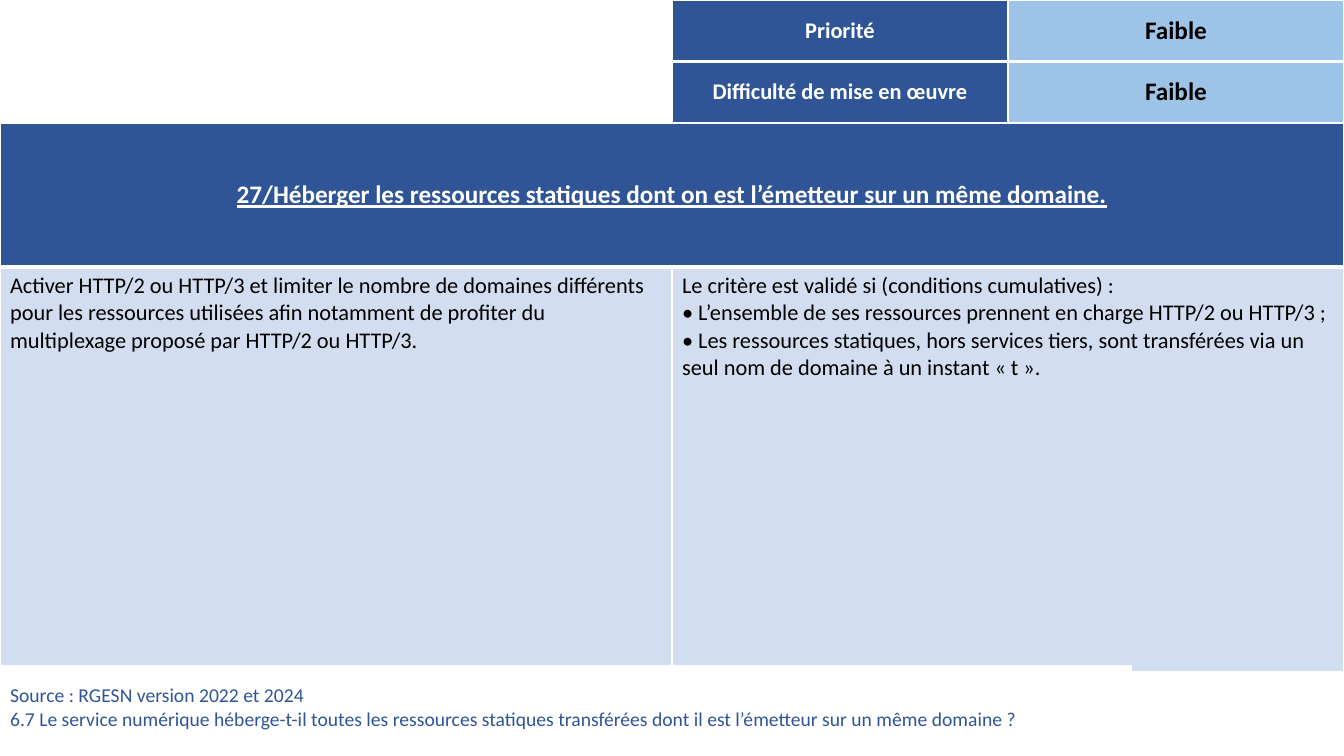
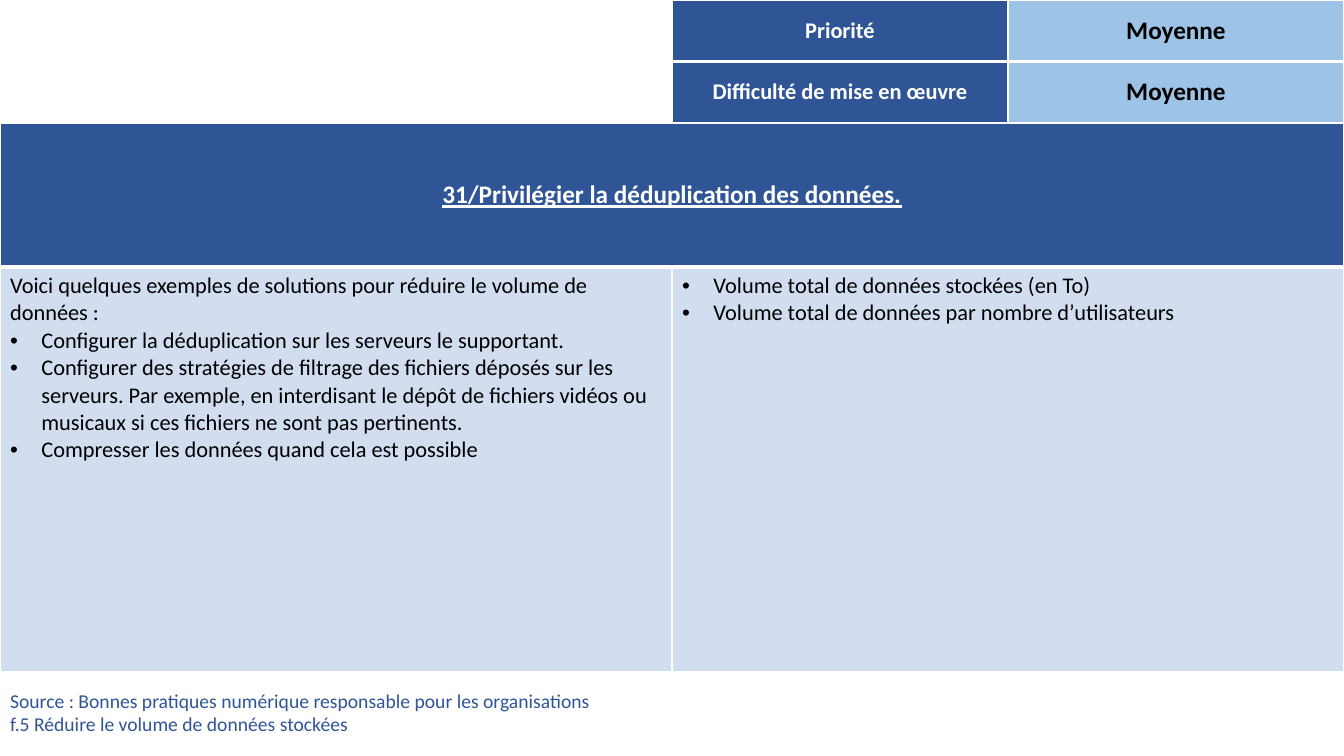
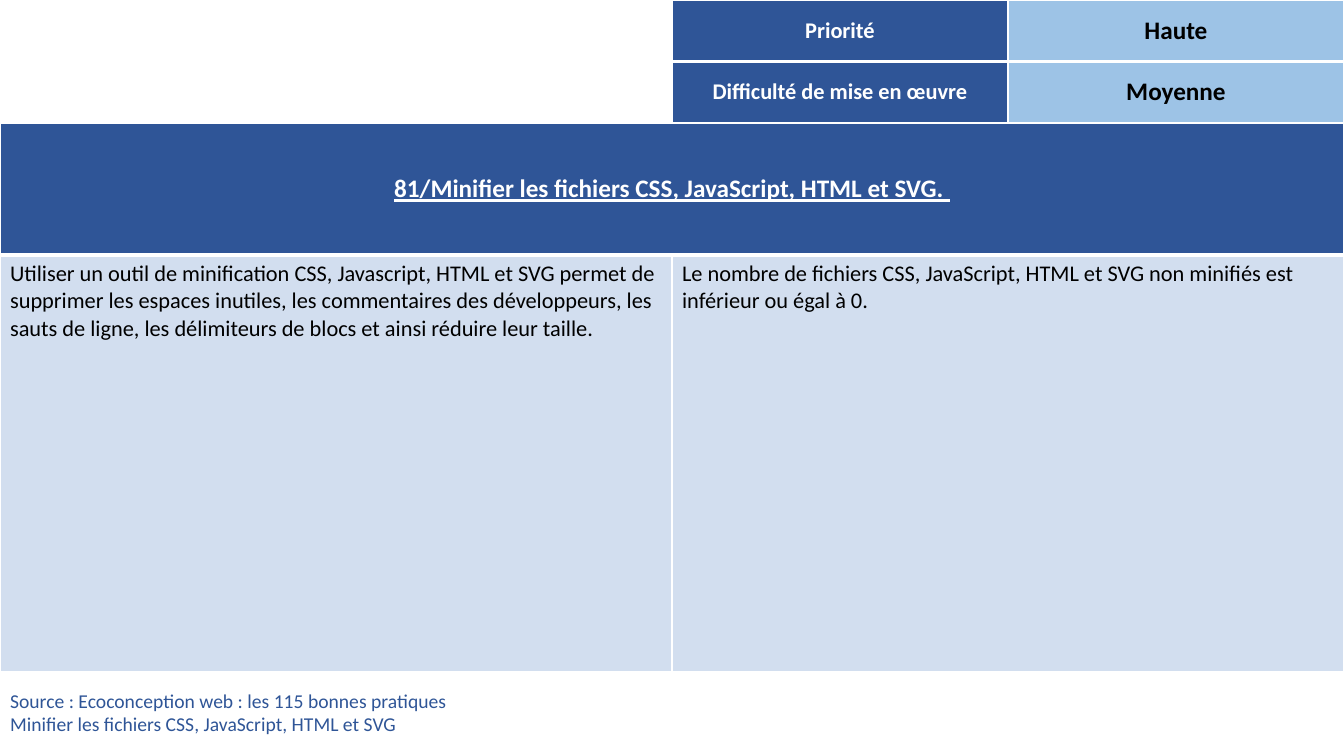
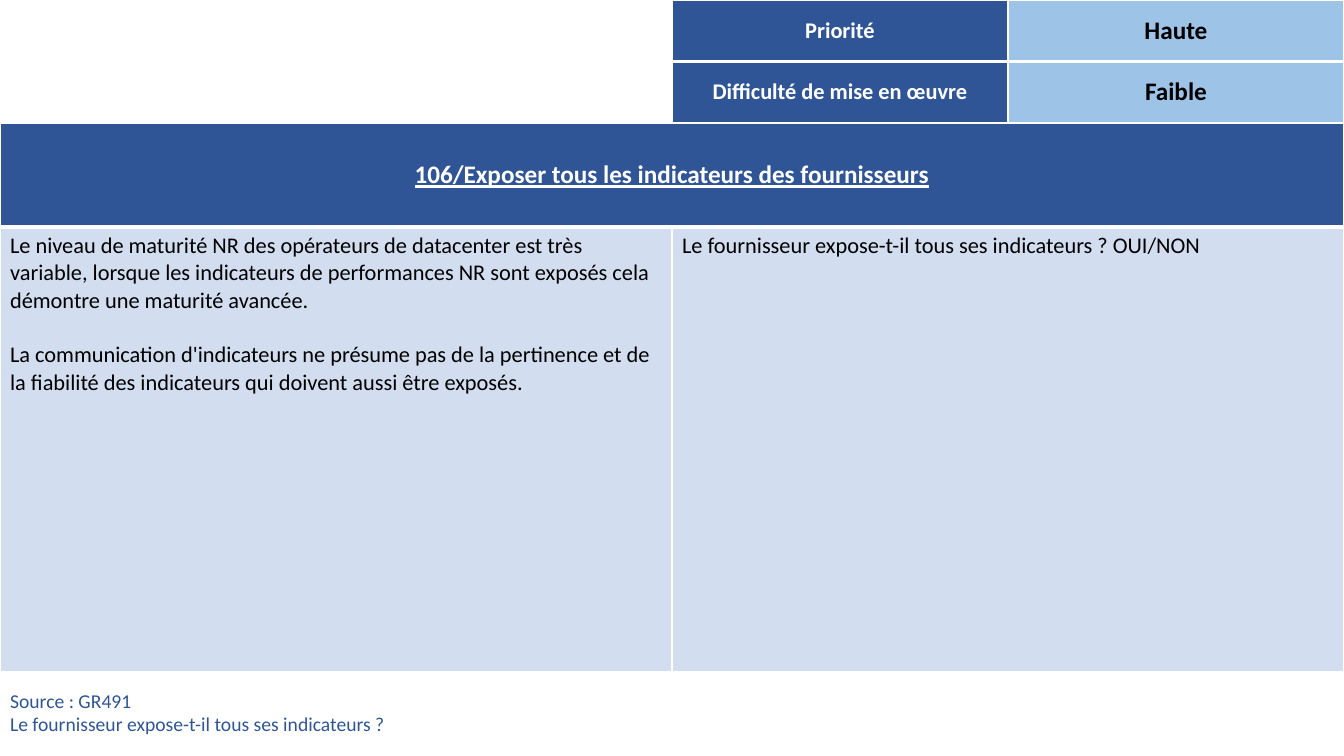
from lxml import etree
from pptx import Presentation
from pptx.dml.color import RGBColor
from pptx.enum.text import MSO_ANCHOR, PP_ALIGN
from pptx.oxml.ns import qn
from pptx.util import Cm, Pt

# Shared look
FONT = "Calibri"
NAVY, SKY, PALE = "2F5597", "9DC3E6", "D2DEEF"
WHITE, BLACK = "FFFFFF", "000000"

# Shared layout, in cm
SLIDE_W, SLIDE_H = 33.87, 19.05
HALF = SLIDE_W / 2
RATING_H = 3.1
PRACTICE_H = 13.82
SOURCE_W, SOURCE_BOTTOM = 28.52, 18.9
BULLET_INDENT = 0.79
PARAGRAPH_GAP = 19.5  # points, one line of body text

BULLET, GAP = "bullet", "gap"  # kinds of body paragraph


def color(hex_code):
    return RGBColor.from_string(hex_code)


def add_grid(slide, box, widths, heights):
    """Add a plain table at box (left, top) with the given columns and rows."""
    left, top = box
    table = slide.shapes.add_table(
        len(heights), len(widths), Cm(left), Cm(top),
        Cm(sum(widths)), Cm(sum(heights))).table
    table.first_row = table.horz_banding = False
    for column, width in zip(table.columns, widths):
        column.width = Cm(width)
    for row, height in zip(table.rows, heights):
        row.height = Cm(height)
    return table


def style_cell(cell, fill, bottom=1):
    """White borders (thicker below on request), then the fill."""
    properties = cell._tc.get_or_add_tcPr()
    for side, points in (("L", 1), ("R", 1), ("T", 1), ("B", bottom)):
        line = etree.SubElement(properties, qn(f"a:ln{side}"), w=str(Pt(points)))
        solid = etree.SubElement(line, qn("a:solidFill"))
        etree.SubElement(solid, qn("a:srgbClr"), val=WHITE)
    cell.fill.solid()
    cell.fill.fore_color.rgb = color(fill)


def add_bullet(paragraph):
    properties = paragraph._p.get_or_add_pPr()
    properties.set("marL", str(Cm(BULLET_INDENT)))
    properties.set("indent", str(-Cm(BULLET_INDENT)))
    etree.SubElement(properties, qn("a:buFont"), typeface="Arial")
    etree.SubElement(properties, qn("a:buChar"), char="•")


def write(cell, paragraphs, size, ink, bold=False, underline=False,
          align=PP_ALIGN.LEFT, anchor=MSO_ANCHOR.MIDDLE):
    """Fill a cell; a paragraph is a string or a (kind, string) pair."""
    cell.vertical_anchor = anchor
    frame = cell.text_frame
    for index, item in enumerate(paragraphs):
        kind, text = (None, item) if isinstance(item, str) else item
        paragraph = frame.add_paragraph() if index else frame.paragraphs[0]
        paragraph.text = text
        paragraph.alignment = align
        if kind == GAP:
            paragraph.space_before = Pt(PARAGRAPH_GAP)
        elif kind == BULLET:
            add_bullet(paragraph)
        for run in paragraph.runs:
            font = run.font
            font.name, font.size = FONT, Pt(size)
            font.bold, font.underline = bold, underline
            font.color.rgb = color(ink)


def add_practice(slide, box, title, title_h, advice, criteria):
    """Title band over the advice and criteria columns."""
    table = add_grid(slide, box, [HALF, HALF], [title_h, PRACTICE_H - title_h])
    for cell in table.rows[0].cells:
        style_cell(cell, NAVY, bottom=3)
    title_cell = table.cell(0, 0)
    title_cell.merge(table.cell(0, 1))
    write(title_cell, [title], 18, WHITE, bold=True, underline=True,
          align=PP_ALIGN.CENTER)
    for cell, paragraphs in zip(table.rows[1].cells, (advice, criteria)):
        style_cell(cell, PALE)
        write(cell, paragraphs, 16, BLACK, anchor=MSO_ANCHOR.TOP)


def add_ratings(slide, box, priority, difficulty):
    """Priority and difficulty, label beside value."""
    ratings = [("Priorité", priority, 3),
               ("Difficulté de mise en œuvre", difficulty, 1)]
    table = add_grid(slide, box, [HALF / 2] * 2, [RATING_H / 2] * 2)
    for row, (label, value, bottom) in zip(table.rows, ratings):
        label_cell, value_cell = row.cells
        style_cell(label_cell, NAVY, bottom)
        style_cell(value_cell, SKY, bottom)
        write(label_cell, [label], 16, WHITE, bold=True, align=PP_ALIGN.CENTER)
        write(value_cell, [value], 18, BLACK, bold=True, align=PP_ALIGN.CENTER)


def add_source(slide, box, height, lines):
    """Source footer."""
    cell = add_grid(slide, box, [SOURCE_W], [height]).cell(0, 0)
    style_cell(cell, WHITE, bottom=3)
    write(cell, lines, 14, NAVY)


def add_sheet(deck, title, title_h, priority, difficulty, advice, criteria,
              source, source_h=1.85):
    slide = deck.slides.add_slide(deck.slide_layouts[6])
    add_practice(slide, (0, RATING_H), title, title_h, advice, criteria)
    add_ratings(slide, (HALF, 0), priority, difficulty)
    add_source(slide, (0, SOURCE_BOTTOM - source_h), source_h, source)


SHEETS = [
    dict(
        title="27/Héberger les ressources statiques dont on est l’émetteur sur un même domaine.",
        title_h=3.63, priority="Faible", difficulty="Faible",
        advice=["Activer HTTP/2 ou HTTP/3 et limiter le nombre de domaines différents pour les ressources utilisées afin notamment de profiter du multiplexage proposé par HTTP/2 ou HTTP/3."],
        criteria=[
            "Le critère est validé si (conditions cumulatives) :",
            "• L’ensemble de ses ressources prennent en charge HTTP/2 ou HTTP/3 ;",
            "• Les ressources statiques, hors services tiers, sont transférées via un seul nom de domaine à un instant « t ».",
        ],
        source=[
            "Source : RGESN version 2022 et 2024",
            "6.7 Le service numérique héberge-t-il toutes les ressources statiques transférées dont il est l’émetteur sur un même domaine ?",
        ],
        source_h=2.13,
    ),
    dict(
        title="31/Privilégier la déduplication des données.",
        title_h=3.63, priority="Moyenne", difficulty="Moyenne",
        advice=[
            "Voici quelques exemples de solutions pour réduire le volume de données :",
            (BULLET, "Configurer la déduplication sur les serveurs le supportant."),
            (BULLET, "Configurer des stratégies de filtrage des fichiers déposés sur les serveurs. Par exemple, en interdisant le dépôt de fichiers vidéos ou musicaux si ces fichiers ne sont pas pertinents."),
            (BULLET, "Compresser les données quand cela est possible"),
        ],
        criteria=[
            (BULLET, "Volume total de données stockées (en To)"),
            (BULLET, "Volume total de données par nombre d’utilisateurs"),
        ],
        source=[
            "Source : Bonnes pratiques numérique responsable pour les organisations",
            "f.5 Réduire le volume de données stockées",
        ],
    ),
    dict(
        title="81/Minifier les fichiers CSS, JavaScript, HTML et SVG. ",
        title_h=3.33, priority="Haute", difficulty="Moyenne",
        advice=["Utiliser un outil de minification CSS, Javascript, HTML et SVG permet de supprimer les espaces inutiles, les commentaires des développeurs, les sauts de ligne, les délimiteurs de blocs et ainsi réduire leur taille."],
        criteria=["Le nombre de fichiers CSS, JavaScript, HTML et SVG non minifiés est inférieur ou égal à 0."],
        source=[
            "Source : Ecoconception web : les 115 bonnes pratiques",
            "Minifier les fichiers CSS, JavaScript, HTML et SVG",
        ],
    ),
    dict(
        title="106/Exposer tous les indicateurs des fournisseurs",
        title_h=2.62, priority="Haute", difficulty="Faible",
        advice=[
            "Le niveau de maturité NR des opérateurs de datacenter est très variable, lorsque les indicateurs de performances NR sont exposés cela démontre une maturité avancée.",
            (GAP, "La communication d'indicateurs ne présume pas de la pertinence et de la fiabilité des indicateurs qui doivent aussi être exposés."),
        ],
        criteria=["Le fournisseur expose-t-il tous ses indicateurs ? OUI/NON"],
        source=[
            "Source : GR491",
            "Le fournisseur expose-t-il tous ses indicateurs ?",
        ],
    ),
]


def main():
    deck = Presentation()
    deck.slide_width, deck.slide_height = Cm(SLIDE_W), Cm(SLIDE_H)
    for sheet in SHEETS:
        add_sheet(deck, **sheet)
    deck.save("out.pptx")


if __name__ == "__main__":
    main()
